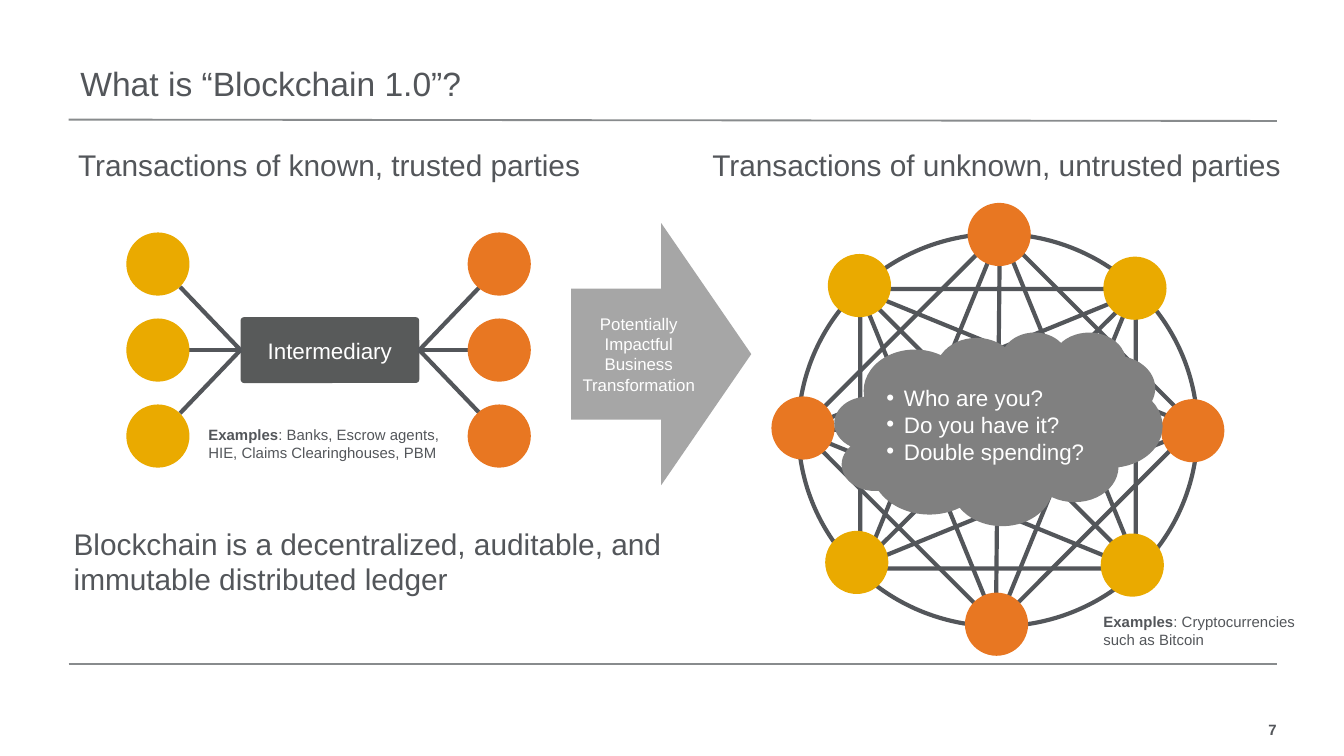
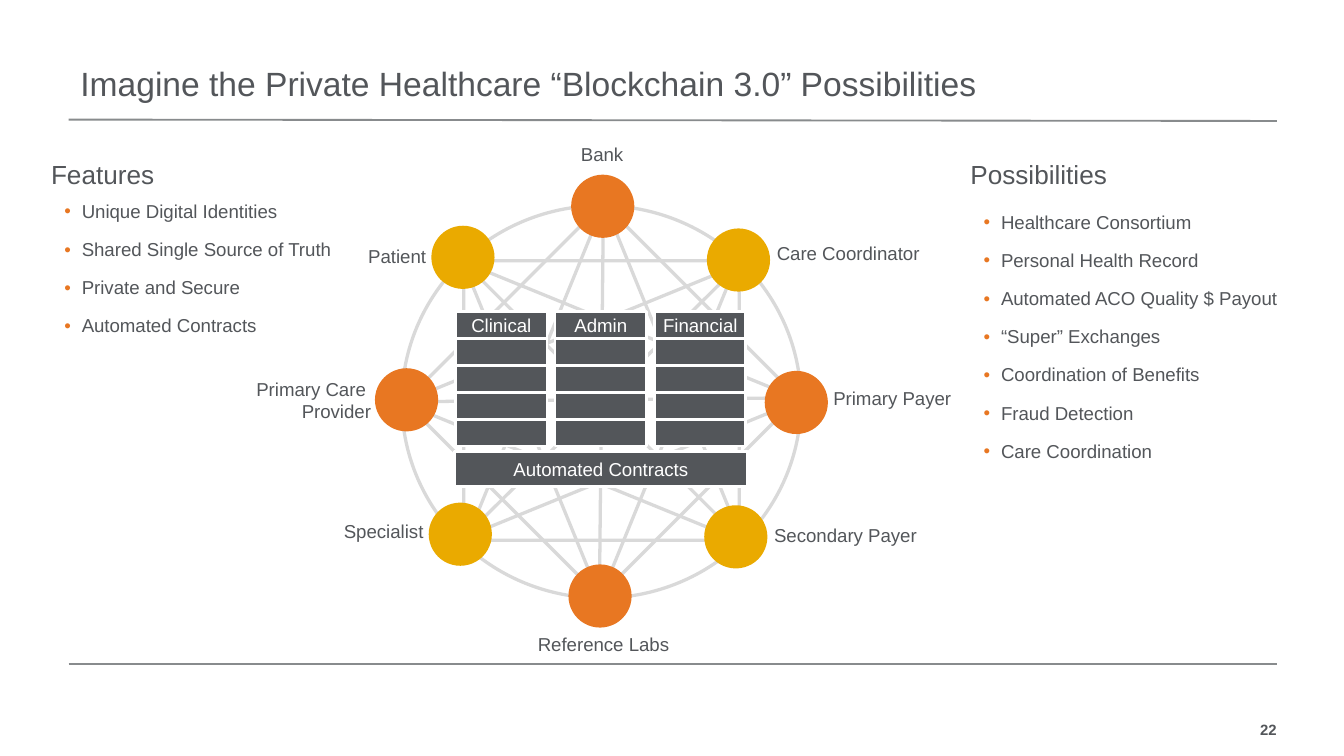
from dataclasses import dataclass, replace
from typing import NamedTuple, Optional

import lxml.etree
import pptx
import pptx.dml.color
import pptx.enum.shapes
import pptx.enum.text
import pptx.oxml.ns
import pptx.presentation
import pptx.shapes.autoshape
import pptx.shapes.connector
import pptx.slide
import pptx.text.text
import pptx.util

Inches = pptx.util.Inches
Pt = pptx.util.Pt
SHAPE = pptx.enum.shapes.MSO_SHAPE
ALIGN = pptx.enum.text.PP_ALIGN
ANCHOR = pptx.enum.text.MSO_ANCHOR
qn = pptx.oxml.ns.qn


@dataclass(frozen=True)
class Theme:
    font: str = "Arial"
    ink: str = "53565A"
    rule: str = "888B8D"
    orange: str = "E87722"
    yellow: str = "EAAA00"
    hub: str = "585A5A"
    arrow: str = "A6A6A6"
    cloud: str = "808080"
    pale: str = "D9D9D9"
    white: str = "FFFFFF"
    title: float = 18
    statement: float = 16
    heading: float = 14
    callout: float = 12
    label: float = 10
    arrow_text: float = 9
    small: float = 8


THEME = Theme()


class Box(NamedTuple):
    left: float
    top: float
    width: float
    height: float


class Point(NamedTuple):
    x: float
    y: float


class Run(NamedTuple):
    text: str
    bold: bool = False


class Stroke(NamedTuple):
    color: str
    width: float


class Outline(NamedTuple):
    kind: pptx.enum.shapes.MSO_SHAPE
    box: Box
    rotation: float = 0


class Label(NamedTuple):
    lines: list[str]
    box: Box
    align: pptx.enum.text.PP_ALIGN


@dataclass(frozen=True)
class TextStyle:
    size: float
    color: str = THEME.ink
    align: pptx.enum.text.PP_ALIGN = ALIGN.LEFT
    anchor: pptx.enum.text.MSO_ANCHOR = ANCHOR.TOP
    inset: tuple[float, float] = (0, 0)
    wrap: bool = True
    bullet: Optional[str] = None
    line_spacing: Optional[float] = None
    before: float = 0
    after: float = 0


PADDED = (0.1, 0.05)
TITLE = TextStyle(THEME.title, anchor=ANCHOR.BOTTOM, inset=PADDED, line_spacing=0.9)
PAGE_NUMBER = TextStyle(THEME.small, align=ALIGN.RIGHT, anchor=ANCHOR.MIDDLE, wrap=False)
SIDE_HEADING = TextStyle(THEME.statement, align=ALIGN.CENTER, wrap=False)
STATEMENT = TextStyle(THEME.statement, inset=PADDED)
EXAMPLES = TextStyle(THEME.small)
LIST_HEADING = TextStyle(THEME.heading, wrap=False)
LIST = TextStyle(THEME.label, inset=PADDED, bullet=THEME.orange,
                 line_spacing=0.95, before=6, after=3)
PARTY = TextStyle(THEME.label)
BLOCK = TextStyle(THEME.label, THEME.white, ALIGN.CENTER, ANCHOR.MIDDLE, (0.05, 0.05))
HUB = replace(BLOCK, size=THEME.callout)
ARROW = replace(BLOCK, size=THEME.arrow_text)
CLOUD = replace(HUB, align=ALIGN.LEFT, bullet=THEME.white)

NODE_SIZE = 0.47
RING = [
    Outline(SHAPE.OVAL, Box(0, 0.02, 2.97, 2.92)),
    Outline(SHAPE.RECTANGLE, Box(0.46, 0.42, 2.05, 2.09), 45),
    Outline(SHAPE.ISOSCELES_TRIANGLE, Box(0.23, 0.23, 2.05, 2.51), 270),
    Outline(SHAPE.ISOSCELES_TRIANGLE, Box(0.69, 0.21, 2.05, 2.51), 90),
    Outline(SHAPE.ISOSCELES_TRIANGLE, Box(0.48, 0, 2.05, 2.51)),
    Outline(SHAPE.ISOSCELES_TRIANGLE, Box(0.45, 0.43, 2.05, 2.51), 180),
]
DIAMETERS = [
    (Point(0.02, 1.48), Point(2.95, 1.45)),
    (Point(1.5, 0), Point(1.47, 2.93)),
    (Point(0.46, 2.49), Point(2.53, 0.44)),
    (Point(2.53, 2.51), Point(0.46, 0.44)),
]
RING_NODES = {
    THEME.orange: [Point(1.26, -0.21), Point(1.24, 2.69), Point(-0.2, 1.23), Point(2.7, 1.25)],
    THEME.yellow: [Point(2.27, 0.19), Point(0.2, 2.23), Point(0.22, 0.17), Point(2.25, 2.25)],
}


def rgb(color: str) -> pptx.dml.color.RGBColor:
    return pptx.dml.color.RGBColor.from_string(color)


def add_bullet(paragraph: pptx.text.text._Paragraph, color: str) -> None:
    properties = paragraph._p.get_or_add_pPr()
    properties.set("marL", str(Inches(0.13)))
    properties.set("indent", str(-Inches(0.13)))
    tint = lxml.etree.SubElement(properties, qn("a:buClr"))
    lxml.etree.SubElement(tint, qn("a:srgbClr"), val=color)
    lxml.etree.SubElement(properties, qn("a:buFont"), typeface=THEME.font)
    lxml.etree.SubElement(properties, qn("a:buChar"), char="•")


def write(frame: pptx.text.text.TextFrame, paragraphs: list[list[Run]], style: TextStyle) -> None:
    frame.word_wrap = style.wrap
    frame.vertical_anchor = style.anchor
    frame.margin_left = frame.margin_right = Inches(style.inset[0])
    frame.margin_top = frame.margin_bottom = Inches(style.inset[1])
    for index, runs in enumerate(paragraphs):
        paragraph = frame.add_paragraph() if index else frame.paragraphs[0]
        if style.bullet:
            add_bullet(paragraph, style.bullet)
        paragraph.alignment = style.align
        paragraph.line_spacing = style.line_spacing
        paragraph.space_before = Pt(style.before if index else 0)
        paragraph.space_after = Pt(style.after)
        for text, bold in runs:
            run = paragraph.add_run()
            run.text = text
            run.font.name = THEME.font
            run.font.size = Pt(style.size)
            run.font.bold = bold
            run.font.color.rgb = rgb(style.color)


def plain(*lines: str) -> list[list[Run]]:
    return [[Run(line)] for line in lines]


def add_text(slide: pptx.slide.Slide, box: Box, paragraphs: list[list[Run]],
             style: TextStyle) -> None:
    textbox = slide.shapes.add_textbox(*map(Inches, box))
    write(textbox.text_frame, paragraphs, style)


def add_shape(slide: pptx.slide.Slide, kind: pptx.enum.shapes.MSO_SHAPE, box: Box,
              fill: Optional[str] = None,
              stroke: Optional[Stroke] = None) -> pptx.shapes.autoshape.Shape:
    shape = slide.shapes.add_shape(kind, *map(Inches, box))
    shape.shadow.inherit = False
    if fill:
        shape.fill.solid()
        shape.fill.fore_color.rgb = rgb(fill)
    else:
        shape.fill.background()
    if stroke:
        shape.line.color.rgb = rgb(stroke.color)
        shape.line.width = Pt(stroke.width)
    else:
        shape.line.fill.background()
    return shape


def add_line(slide: pptx.slide.Slide, start: Point, end: Point,
             stroke: Stroke) -> pptx.shapes.connector.Connector:
    line = slide.shapes.add_connector(
        pptx.enum.shapes.MSO_CONNECTOR.STRAIGHT, *map(Inches, (*start, *end)))
    line.line.color.rgb = rgb(stroke.color)
    line.line.width = Pt(stroke.width)
    lxml.etree.SubElement(line._element.spPr, qn("a:effectLst"))
    return line


def add_node(slide: pptx.slide.Slide, corner: Point, color: str) -> None:
    add_shape(slide, SHAPE.OVAL, Box(*corner, NODE_SIZE, NODE_SIZE), color)


def add_network(slide: pptx.slide.Slide, origin: Point, stroke: Stroke) -> None:
    def shift(point: Point) -> Point:
        return Point(origin.x + point.x, origin.y + point.y)

    for kind, box, rotation in RING:
        corner = shift(Point(box.left, box.top))
        outline = add_shape(slide, kind, Box(*corner, box.width, box.height), stroke=stroke)
        outline.rotation = rotation
    for start, end in DIAMETERS:
        add_line(slide, shift(start), shift(end), stroke)
    for color, corners in RING_NODES.items():
        for corner in corners:
            add_node(slide, shift(corner), color)


def add_page(deck: pptx.presentation.Presentation, title: str, number: int) -> pptx.slide.Slide:
    slide = deck.slides.add_slide(deck.slide_layouts[6])
    add_text(slide, Box(9, 5.34, 0.5, 0.17), [[Run(str(number), True)]], PAGE_NUMBER)
    for left_y, right_y in ((0.89, 0.9), (4.94, 4.94)):
        add_line(slide, Point(0.51, left_y), Point(9.5, right_y), Stroke(THEME.rule, 1))
    add_text(slide, Box(0.5, 0.46, 9.06, 0.36), plain(title), TITLE)
    return slide


def add_intermediary(slide: pptx.slide.Slide) -> None:
    box = Box(1.79, 2.36, 1.33, 0.49)
    hub = add_shape(slide, SHAPE.ROUNDED_RECTANGLE, box, THEME.hub)
    hub.adjustments[0] = 0.054
    write(hub.text_frame, plain("Intermediary"), HUB)
    middle = box.top + box.height / 2
    sides = [(1, box.left, -1, 0.94, THEME.yellow),
             (3, box.left + box.width, 1, 3.48, THEME.orange)]
    for site, edge, direction, node_left, color in sides:
        for row in (-1, 0, 1):
            reach = 0.45 if row else 0.38
            spoke = add_line(slide, Point(edge, middle),
                             Point(edge + direction * reach, middle + row * 0.47),
                             Stroke(THEME.ink, 2.25))
            spoke.begin_connect(hub, site)
            add_node(slide, Point(node_left, 2.37 + row * 0.64), color)


def build_blockchain_one(deck: pptx.presentation.Presentation) -> None:
    slide = add_page(deck, "What is “Blockchain 1.0”?", 7)
    add_network(slide, Point(5.94, 1.72), Stroke(THEME.ink, 2.25))
    add_text(slide, Box(0.45, 1.09, 4, 0.35),
             plain("Transactions of known, trusted parties"), SIDE_HEADING)
    add_text(slide, Box(5.29, 1.09, 4.25, 0.35),
             plain("Transactions of unknown, untrusted parties"), SIDE_HEADING)
    add_intermediary(slide)
    examples = [
        (Box(1.55, 3.17, 1.79, 0.42), ": Banks, Escrow agents, HIE, Claims Clearinghouses, PBM"),
        (Box(8.21, 4.56, 1.68, 0.42), ": Cryptocurrencies such as Bitcoin"),
    ]
    for box, text in examples:
        add_text(slide, box, [[Run("Examples", True), Run(text)]], EXAMPLES)
    add_text(slide, Box(0.45, 3.86, 5, 0.64),
             plain("Blockchain is a decentralized, auditable, and immutable distributed ledger"),
             STATEMENT)
    transformation = add_shape(slide, SHAPE.RIGHT_ARROW, Box(4.25, 1.66, 1.34, 1.95), THEME.arrow)
    write(transformation.text_frame,
          plain("Potentially Impactful Business Transformation"), ARROW)
    questions = add_shape(slide, SHAPE.CLOUD_CALLOUT, Box(6.21, 2.47, 2.44, 1.44), THEME.cloud)
    questions.adjustments[0] = 0.099
    questions.adjustments[1] = 0.032
    write(questions.text_frame,
          plain("Who are you?", "Do you have it?", "Double spending?"), CLOUD)


def add_ledger(slide: pptx.slide.Slide) -> None:
    def add_block(box: Box, text: str) -> None:
        block = add_shape(slide, SHAPE.RECTANGLE, box, THEME.ink, Stroke(THEME.white, 1.5))
        if text:
            write(block.text_frame, plain(text), BLOCK)

    for column, heading in enumerate(("Clinical", "Admin", "Financial")):
        for row in range(5):
            add_block(Box(3.39 + 0.74 * column, 2.32 + 0.2 * row, 0.68, 0.2),
                      "" if row else heading)
    add_block(Box(3.38, 3.36, 2.18, 0.26), "Automated Contracts")


def build_blockchain_three(deck: pptx.presentation.Presentation) -> None:
    slide = add_page(deck, "Imagine the Private Healthcare “Blockchain 3.0” Possibilities", 22)
    add_network(slide, Point(2.99, 1.51), Stroke(THEME.pale, 1.75))
    parties = [
        Label(["Patient"], Box(2.4, 1.82, 0.77, 0.23), ALIGN.RIGHT),
        Label(["Primary Payer"], Box(6.2, 2.88, 1.21, 0.23), ALIGN.LEFT),
        Label(["Secondary Payer"], Box(5.76, 3.9, 1.46, 0.23), ALIGN.LEFT),
        Label(["Primary Care ", "Provider"], Box(1.85, 2.81, 0.91, 0.36), ALIGN.RIGHT),
        Label(["Specialist"], Box(1.33, 3.87, 1.82, 0.23), ALIGN.RIGHT),
        Label(["Care Coordinator"], Box(5.78, 1.8, 1.6, 0.23), ALIGN.LEFT),
        Label(["Reference Labs"], Box(3.76, 4.71, 1.46, 0.23), ALIGN.CENTER),
        Label(["Bank"], Box(3.75, 1.06, 1.46, 0.23), ALIGN.CENTER),
    ]
    for lines, box, align in parties:
        add_text(slide, box, plain(*lines), replace(PARTY, align=align))
    add_ledger(slide)
    lists = [
        ("Features", Box(0.38, 1.45, 2.38, 1.28),
         ["Unique Digital Identities", "Shared Single Source of Truth",
          "Private and Secure", "Automated Contracts"]),
        ("Possibilities", Box(7.22, 1.53, 2.54, 2.35),
         ["Healthcare Consortium", "Personal Health Record", "Automated ACO Quality $ Payout",
          "“Super” Exchanges", "Coordination of Benefits", "Fraud Detection",
          "Care Coordination"]),
    ]
    for heading, box, items in lists:
        add_text(slide, box, plain(*items), LIST)
        add_text(slide, Box(box.left, 1.18, 2.13, box.top - 1.18), plain(heading), LIST_HEADING)


def main() -> None:
    deck = pptx.Presentation()
    deck.slide_width = Inches(10)
    deck.slide_height = Inches(10 * 9 / 16)
    build_blockchain_one(deck)
    build_blockchain_three(deck)
    deck.save("out.pptx")


if __name__ == "__main__":
    main()
